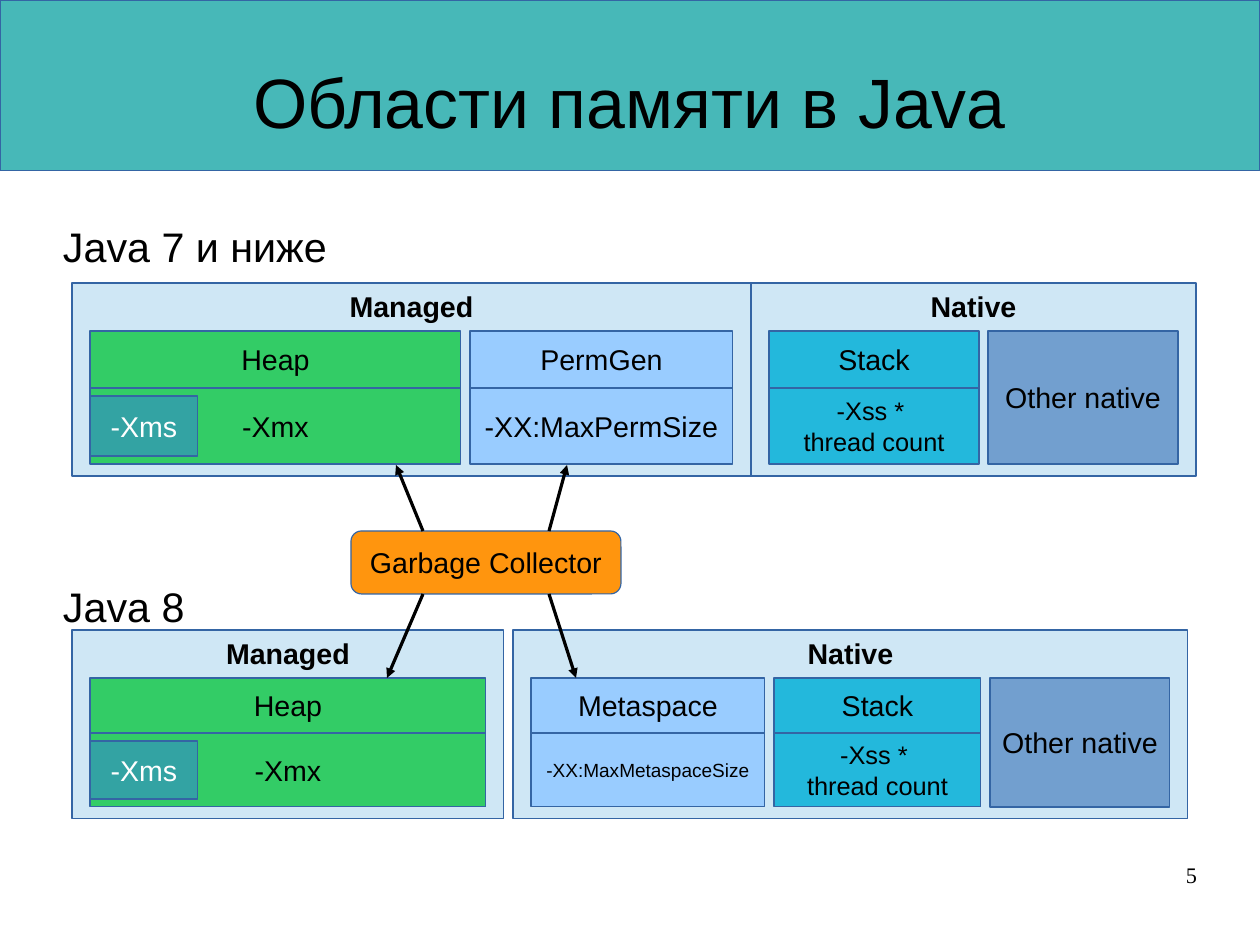
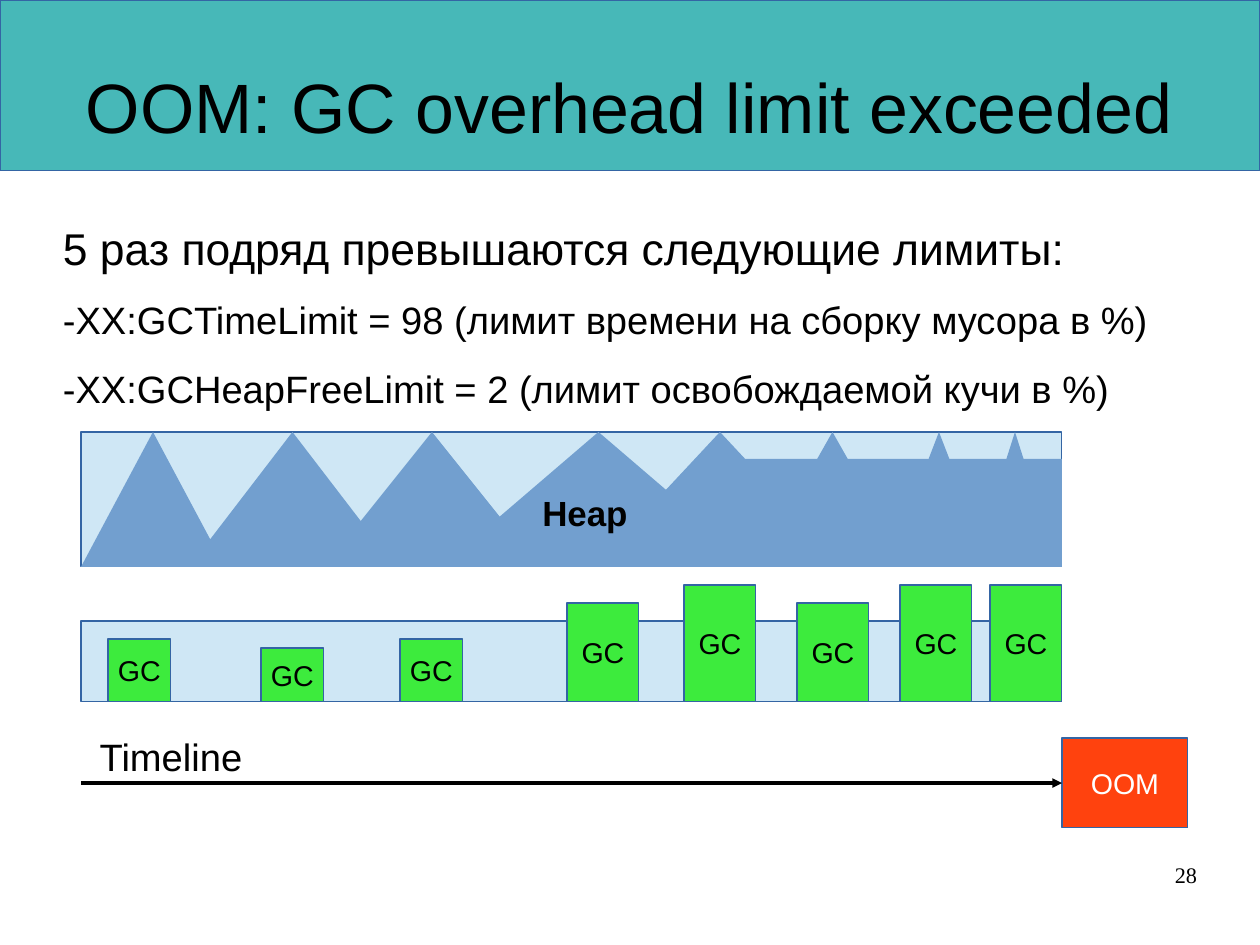
from dataclasses import dataclass

from lxml import etree
from pptx import Presentation
from pptx.dml.color import RGBColor
from pptx.enum.shapes import MSO_CONNECTOR, MSO_SHAPE
from pptx.enum.text import MSO_ANCHOR, PP_ALIGN
from pptx.oxml.ns import qn
from pptx.util import Emu, Pt

RECT, ROUNDED, TRIANGLE = MSO_SHAPE.RECTANGLE, MSO_SHAPE.ROUNDED_RECTANGLE, MSO_SHAPE.ISOSCELES_TRIANGLE
STRAIGHT = MSO_CONNECTOR.STRAIGHT
TOP, MIDDLE = MSO_ANCHOR.TOP, MSO_ANCHOR.MIDDLE
LEFT, CENTER, RIGHT = PP_ALIGN.LEFT, PP_ALIGN.CENTER, PP_ALIGN.RIGHT
TITLE_ONLY = 5
LEFT_SIDE = 1
EMU_PER_PX = 8000


@dataclass(frozen=True)
class Theme:
    """Colours, fonts and type sizes shared by the deck."""
    band: str = "47B8B8"
    outline: str = "3465A4"
    panel: str = "CFE7F5"
    heap: str = "33CC66"
    initial: str = "33A3A3"
    meta: str = "99CCFF"
    stack: str = "23B8DC"
    native: str = "729FCF"
    collector: str = "FF950E"
    pause: str = "3DEB3D"
    failure: str = "FF420E"
    ink: str = "000000"
    paper: str = "FFFFFF"
    font: str = "Arial"
    number_font: str = "Times New Roman"
    title: int = 44
    lead: int = 28
    heading: int = 26
    body: int = 24
    caption: int = 22
    label: int = 18
    small: int = 16
    number: int = 14
    tiny: int = 12
    paragraph_gap: float = 14.2


THEME = Theme()


@dataclass(frozen=True)
class Area:
    """One memory area: its name, limiting option and look."""
    name: str
    width: int
    color: str
    option: str = ""
    option_size: int = THEME.label
    initial: str = ""


def px(length):
    """Turn pixels into EMU."""
    return Emu(round(length * EMU_PER_PX))


def place(box):
    """Turn a pixel box into EMU lengths."""
    return [px(length) for length in box]


def color(code):
    """Turn a hex code into a colour."""
    return RGBColor.from_string(code)


def write(shape, text, sizes, ink=THEME.ink, font=THEME.font, bold=False,
          align=CENTER, anchor=MIDDLE, wrap=False, inset=True, gap=0):
    """Set the text of a shape and format it; sizes is one size or one per paragraph."""
    frame = shape.text_frame
    frame.text = text
    frame.word_wrap = wrap
    frame.vertical_anchor = anchor
    if not inset:
        frame.margin_left = frame.margin_right = frame.margin_top = frame.margin_bottom = 0
    for index, para in enumerate(frame.paragraphs):
        para.alignment = align
        if gap:
            para.space_after = Pt(gap)
        for span in para.runs:
            span.font.size = Pt(sizes[index] if isinstance(sizes, tuple) else sizes)
            span.font.name = font
            span.font.bold = bold
            span.font.color.rgb = color(ink)


def block(page, box, fill, text="", size=THEME.label, kind=RECT, outlined=True, **style):
    """Draw a filled preset shape with an optional label."""
    shape = page.shapes.add_shape(kind, *place(box))
    shape.shadow.inherit = False
    shape.fill.solid()
    shape.fill.fore_color.rgb = color(fill)
    if outlined:
        shape.line.color.rgb = color(THEME.outline)
        shape.line.width = 0
    else:
        shape.line.fill.background()
    if text:
        write(shape, text, size, **style)
    return shape


def label(page, box, text, sizes, **style):
    """Add a text box."""
    write(page.shapes.add_textbox(*place(box)), text, sizes, **style)


def copy_block(page, box, text, sizes):
    """Add left-aligned running text without insets."""
    label(page, box, text, sizes, align=LEFT, anchor=TOP, wrap=True, inset=False,
          gap=THEME.paragraph_gap)


def arrow(page, start, end):
    """Draw a hairline with an arrowhead at its end."""
    line = page.shapes.add_connector(STRAIGHT, *place((*start, *end)))
    line.line.color.rgb = color(THEME.ink)
    line.line.width = 0
    properties = line.element.spPr
    etree.SubElement(properties.find(qn("a:ln")), qn("a:tailEnd"), type="triangle")
    etree.SubElement(properties, qn("a:effectLst"))
    return line


def add_band(layout, page):
    """Draw the title band and hand it to the layout, behind everything."""
    band = block(page, (0, 0, 1260, 171), THEME.band)
    layout.shapes.element.insert(2, band.element)


def titled_page(deck, title, title_top, number):
    """Add a slide with its title and page number."""
    page = deck.slides.add_slide(deck.slide_layouts[TITLE_ONLY])
    heading = page.shapes.title
    heading.left, heading.top, heading.width, heading.height = place((63, title_top, 1134, 158))
    write(heading, title, THEME.title, wrap=True, inset=False)
    label(page, (903, 861, 294, 65), number, THEME.number, font=THEME.number_font,
          align=RIGHT, anchor=TOP, wrap=True, inset=False)
    return page


def memory_area(page, box, area, name_height):
    """Draw one area: a name cell over an option cell, or one cell alone."""
    left, top, width, height = box
    if not area.option:
        block(page, box, area.color, area.name)
        return
    option_top, option_height = top + name_height, height - name_height
    block(page, (left, option_top, width, option_height), area.color, area.option, area.option_size)
    block(page, (left, top, width, name_height), area.color, area.name)
    if area.initial:
        block(page, (left, option_top + 8, 108, option_height - 16), THEME.initial,
              area.initial, ink=THEME.paper)


def memory_panel(page, corner, heading, areas, name_height, option_height):
    """Draw a panel around a row of areas and return its right edge."""
    left, top = corner
    side, gap, head, foot = 18, 9, 48, 12
    height = name_height + option_height
    width = 2 * side + sum(area.width for area in areas) + gap * (len(areas) - 1)
    block(page, (left, top, width, head + height + foot), THEME.panel, heading,
          bold=True, anchor=TOP)
    area_left = left + side
    for area in areas:
        memory_area(page, (area_left, top + head, area.width, height), area, name_height)
        area_left += area.width + gap
    return left + width


def memory_model(page, corner, panels, panel_gap, name_height, option_height):
    """Draw the panels of one Java version side by side."""
    left, top = corner
    for heading, areas in panels:
        right = memory_panel(page, (left, top), heading, areas, name_height, option_height)
        left = right + panel_gap


def collector(page, box, upper, lower):
    """Draw the collector with arrows to a pair of points above and below it."""
    left, top, width, height = box
    block(page, box, THEME.collector, "Garbage Collector", kind=ROUNDED)
    starts = (left + 72, left + width - 72)
    for edge, targets in ((top, upper), (top + height, lower)):
        for start, target in zip(starts, targets):
            arrow(page, (start, edge), target)


def heap_strip(page, box):
    """Draw heap usage as peaks that end in a plateau."""
    left, top, width, height = box
    block(page, box, THEME.panel)
    peaks = ((0, 144), (108, 207), (243, 216), (360, 315),
             (513, 252), (675, 153), (806, 104), (891, 86))
    for offset, base in peaks:
        block(page, (left + offset, top, base, height), THEME.native, kind=TRIANGLE, outlined=False)
    plateau_left, plateau_top = 639, 27
    block(page, (left + plateau_left, top + plateau_top, width - plateau_left, height - plateau_top),
          THEME.native, outlined=False)
    label(page, (left + 279, top + 36, 450, 90), "Heap", THEME.caption, bold=True)


def pause_strip(page, box):
    """Draw collector pauses as bars standing on the strip's lower edge."""
    left, top, _, height = box
    block(page, box, THEME.panel)
    bars = ((27, 63, 63), (180, 63, 54), (319, 63, 63), (486, 72, 99),
            (603, 72, 117), (716, 72, 99), (819, 72, 117), (909, 72, 117))
    for offset, bar_width, bar_height in bars:
        block(page, (left + offset, top + height - bar_height, bar_width, bar_height),
              THEME.pause, "GC")


def timeline(page, box):
    """Draw the time arrow that ends at the failure box."""
    left, top, width, height = box
    failure_width = 126
    axis_right, axis = left + width - failure_width, top + height // 2
    failure = block(page, (axis_right, top, failure_width, height), THEME.failure, "OOM",
                    ink=THEME.paper)
    line = arrow(page, (left, axis), (axis_right, axis))
    line.end_connect(failure, LEFT_SIDE)
    label(page, (left, top - 13, 180, 63), "Timeline", THEME.body)


def memory_page(deck):
    """Build the slide that compares the memory areas."""
    page = titled_page(deck, "Области памяти в Java", 22, "5")
    threads = "-Xss * \nthread count"
    java7 = (
        ("Managed", (Area("Heap", 371, THEME.heap, "-Xmx", initial="-Xms"),
                     Area("PermGen", 263, THEME.meta, "-XX:MaxPermSize"))),
        ("Native", (Area("Stack", 210, THEME.stack, threads, THEME.small),
                    Area("Other native", 190, THEME.native))),
    )
    java8 = (
        ("Managed", (Area("Heap", 396, THEME.heap, "-Xmx", initial="-Xms"),)),
        ("Native", (Area("Metaspace", 234, THEME.meta, "-XX:MaxMetaspaceSize", THEME.tiny),
                    Area("Stack", 207, THEME.stack, threads, THEME.small),
                    Area("Other native", 180, THEME.native))),
    )
    copy_block(page, (63, 221, 1134, 54), "Java 7 и ниже", THEME.heading)
    memory_model(page, (72, 283), java7, 0, 57, 76)
    copy_block(page, (63, 581, 270, 48), "Java 8", THEME.heading)
    memory_model(page, (72, 630), java8, 9, 55, 74)
    collector(page, (351, 531, 270, 63), ((396, 465), (567, 465)), ((387, 678), (576, 678)))
    return page


def overhead_page(deck):
    """Build the slide about the overhead limit."""
    page = titled_page(deck, "OOM: GC overhead limit exceeded", 27, "28")
    limits = ("5 раз подряд превышаются следующие лимиты:\n"
              "-XX:GCTimeLimit = 98 (лимит времени на сборку мусора в %)\n"
              "-XX:GCHeapFreeLimit = 2 (лимит освобождаемой кучи в %)")
    copy_block(page, (63, 221, 1134, 207), limits, (THEME.lead, THEME.body, THEME.body))
    heap_strip(page, (81, 432, 981, 135))
    pause_strip(page, (81, 621, 981, 81))
    timeline(page, (81, 738, 1107, 90))


def main():
    """Build and save the deck."""
    deck = Presentation()
    deck.slide_width, deck.slide_height = px(1260), px(945)
    first = memory_page(deck)
    add_band(deck.slide_layouts[TITLE_ONLY], first)
    overhead_page(deck)
    deck.save("out.pptx")


if __name__ == "__main__":
    main()
